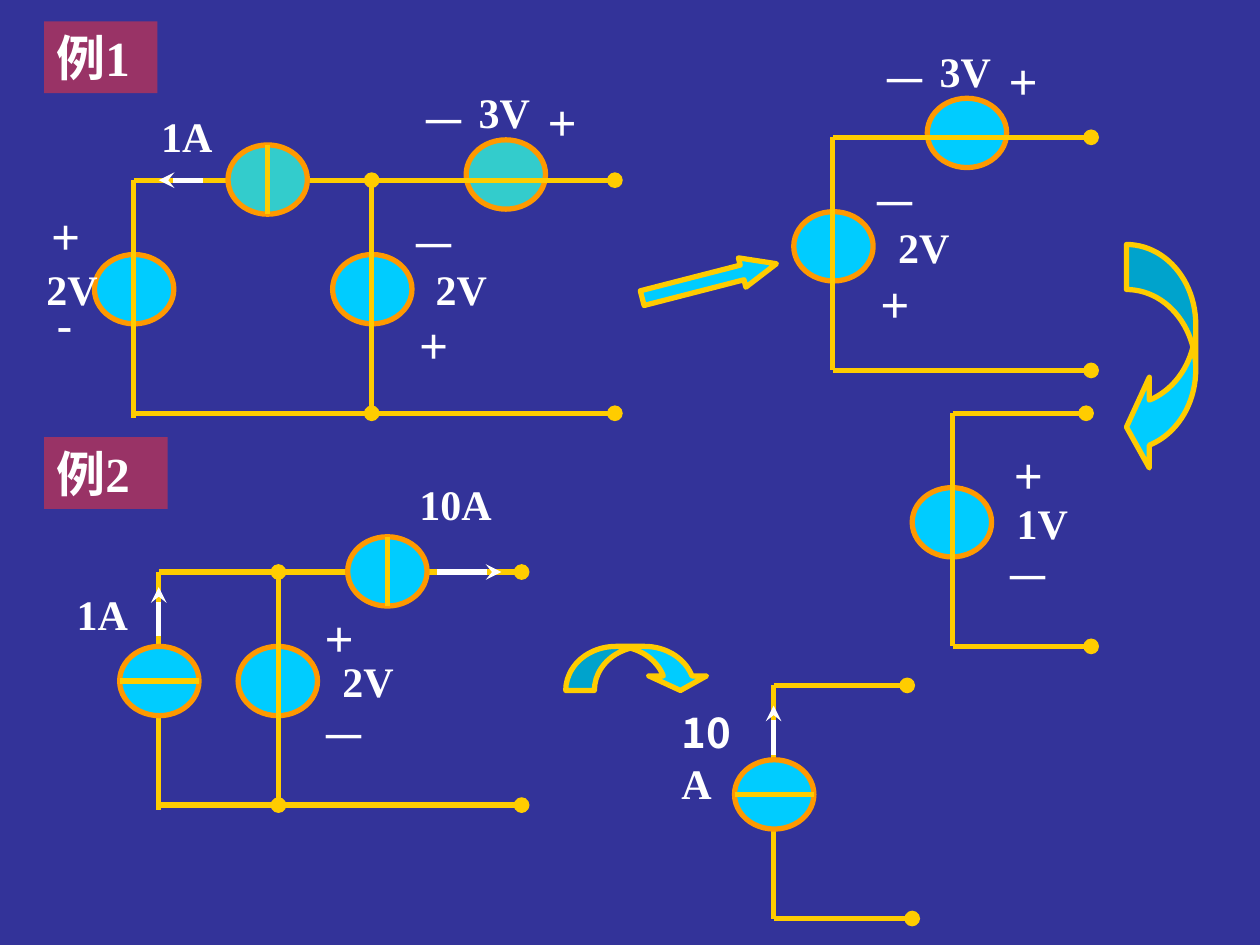
from pptx import Presentation
from pptx.dml.color import RGBColor
from pptx.enum.shapes import MSO_CONNECTOR, MSO_SHAPE
from pptx.enum.text import MSO_ANCHOR, PP_ALIGN
from pptx.oxml.ns import qn
from pptx.util import Inches, Pt
from lxml.etree import SubElement

SERIF = "Times New Roman"
WIRE, RIM, CYAN, TEAL, WHITE = "FFCC00", "FF9900", "00CCFF", "33CCCC", "FFFFFF"
SOURCE_W, SOURCE_H = 0.63, 0.55


def color(hex_string):
    return RGBColor.from_string(hex_string)


def add_wire(x1, y1, x2, y2, stroke=WIRE, head=None, tail=None):
    wire = page.shapes.add_connector(
        MSO_CONNECTOR.STRAIGHT, Inches(x1), Inches(y1), Inches(x2), Inches(y2))
    wire.line.color.rgb = color(stroke)
    wire.line.width = Pt(3)
    line = wire.line._get_or_add_ln()
    for tag, kind in (("a:headEnd", head), ("a:tailEnd", tail)):
        if kind:
            SubElement(line, qn(tag), type=kind)
    SubElement(wire._element.spPr, qn("a:effectLst"))


deck = Presentation()
deck.slide_width, deck.slide_height = Inches(10), Inches(7.5)
page = deck.slides.add_slide(deck.slide_layouts[6])
page.background.fill.solid()
page.background.fill.fore_color.rgb = color("333399")

# Example headings
for number, top, width in (("1", 0.17, 0.9), ("2", 3.47, 0.98)):
    box = page.shapes.add_shape(
        MSO_SHAPE.RECTANGLE, Inches(0.35), Inches(top), Inches(width), Inches(0.57))
    box.shadow.inherit = False
    box.fill.solid()
    box.fill.fore_color.rgb = color("993366")
    box.line.fill.background()
    box.text_frame.vertical_anchor = MSO_ANCHOR.TOP
    para = box.text_frame.paragraphs[0]
    para.alignment = PP_ALIGN.LEFT
    span = para.add_run()
    span.text = "例" + number
    span.font.name, span.font.size, span.font.bold = SERIF, Pt(28), True
    span.font.color.rgb = color(WHITE)

# Voltage sources lie under the wires, current sources over them
voltage_sources = [
    (3.7, 1.11, TEAL), (2.64, 2.02, CYAN), (0.75, 2.02, CYAN), (7.36, 0.78, CYAN),
    (6.3, 1.68, CYAN), (7.24, 3.87, CYAN), (1.89, 5.13, CYAN)]
current_sources = [
    (1.81, 1.15, TEAL), (0.95, 5.13, CYAN), (2.76, 4.26, CYAN), (5.83, 6.03, CYAN)]
upright_bars = {(1.81, 1.15), (2.76, 4.26)}

# Wires ending in a terminal: left, right, height
terminal_wires = [
    (1.06, 4.88, 1.43), (1.06, 4.88, 3.28), (6.61, 8.66, 1.09), (6.61, 8.66, 2.94),
    (7.56, 8.62, 3.28), (7.56, 8.66, 5.13), (1.26, 4.14, 4.54), (1.26, 4.14, 6.39),
    (6.14, 7.2, 5.44), (6.14, 7.24, 7.29)]
# Upright wires: position, top, bottom, end mark
upright_wires = [
    (1.06, 1.43, 3.32, None), (2.95, 1.43, 3.28, "oval"), (6.61, 1.09, 2.94, None),
    (7.56, 3.28, 5.13, None), (1.26, 4.54, 6.43, None), (2.21, 4.54, 6.39, "oval"),
    (6.14, 5.44, 7.29, None)]

for sources in (voltage_sources, current_sources):
    for left, top, fill in sources:
        circle = page.shapes.add_shape(
            MSO_SHAPE.OVAL, Inches(left), Inches(top), Inches(SOURCE_W), Inches(SOURCE_H))
        circle.shadow.inherit = False
        circle.fill.solid()
        circle.fill.fore_color.rgb = color(fill)
        circle.line.color.rgb = color(RIM)
        circle.line.width = Pt(3)
    if sources is voltage_sources:
        for left, right, y in terminal_wires:
            add_wire(left, y, right, y, tail="oval")
        for x, top, bottom, mark in upright_wires:
            add_wire(x, top, x, bottom, head=mark, tail=mark)

# Bars inside the current sources
for left, top, fill in current_sources:
    middle_x, middle_y = left + SOURCE_W / 2, top + SOURCE_H / 2
    if (left, top) in upright_bars:
        add_wire(middle_x, top, middle_x, top + SOURCE_H)
    else:
        add_wire(left, middle_y, left + SOURCE_W, middle_y)

# Current directions
for ends in ((1.61, 1.43, 1.26, 1.43), (1.26, 5.05, 1.26, 4.66),
             (3.47, 4.54, 3.98, 4.54), (6.14, 5.99, 6.14, 5.6)):
    add_wire(*ends, stroke=WHITE, tail="stealth")

# Polarity signs and values: left, top, text
signs = [
    (0.31, 1.58, "+"), (0.35, 2.29, "-"), (3.23, 2.45, "+"), (3.15, 1.66, "－"),
    (4.25, 0.68, "+"), (3.23, 0.68, "－"), (6.89, 2.12, "+"), (6.81, 1.33, "－"),
    (7.91, 0.35, "+"), (6.89, 0.35, "－"), (7.95, 3.48, "+"), (7.87, 4.3, "－"),
    (2.48, 4.77, "+"), (2.44, 5.56, "－")]
values = [
    (1.18, 0.83, "1A"), (0.27, 2.04, "2V"), (3.36, 2.04, "2V"), (3.7, 0.64, "3V"),
    (7.03, 1.71, "2V"), (7.36, 0.31, "3V"), (7.97, 3.9, "1V"), (0.51, 4.62, "1A"),
    (2.62, 5.15, "2V")]
labels = [(x, y, 0.47, 0.57, 28, False, [(text, "Arial")]) for x, y, text in signs]
labels += [(x, y, 0.67, 0.5, 24, True, [(text, SERIF)]) for x, y, text in values]
labels += [
    (3.23, 3.75, 0.9, 0.5, 24, True, [("10A", SERIF)]),
    (5.31, 5.56, 0.83, 0.5, 24, True, [("10", "Noto Sans CJK SC"), ("A", SERIF)])]
for left, top, width, height, size, bold, spans in labels:
    box = page.shapes.add_textbox(Inches(left), Inches(top), Inches(width), Inches(height))
    box.text_frame.word_wrap = True
    para = box.text_frame.paragraphs[0]
    for text, font in spans:
        span = para.add_run()
        span.text = text
        span.font.name, span.font.size, span.font.bold = font, Pt(size), bold
        span.font.color.rgb = color(WHITE)

# Arrows between the steps
curve = (0.65, 1.31, 0.33)
for kind, left, top, width, height, turn, settings in (
        (MSO_SHAPE.RIGHT_ARROW, 5.08, 2.11, 1.1, 0.24, 345.6, (0.5, 1.17)),
        (MSO_SHAPE.CURVED_LEFT_ARROW, 8.94, 1.94, 0.55, 1.81, 0, curve),
        (MSO_SHAPE.CURVED_DOWN_ARROW, 4.49, 5.13, 1.14, 0.35, 0, curve)):
    arrow = page.shapes.add_shape(
        kind, Inches(left), Inches(top), Inches(width), Inches(height))
    arrow.rotation = turn
    arrow.shadow.inherit = False
    arrow.fill.solid()
    arrow.fill.fore_color.rgb = color(CYAN)
    arrow.line.color.rgb = color(WIRE)
    arrow.line.width = Pt(3)
    for index, setting in enumerate(settings):
        arrow.adjustments[index] = setting

deck.save("out.pptx")
